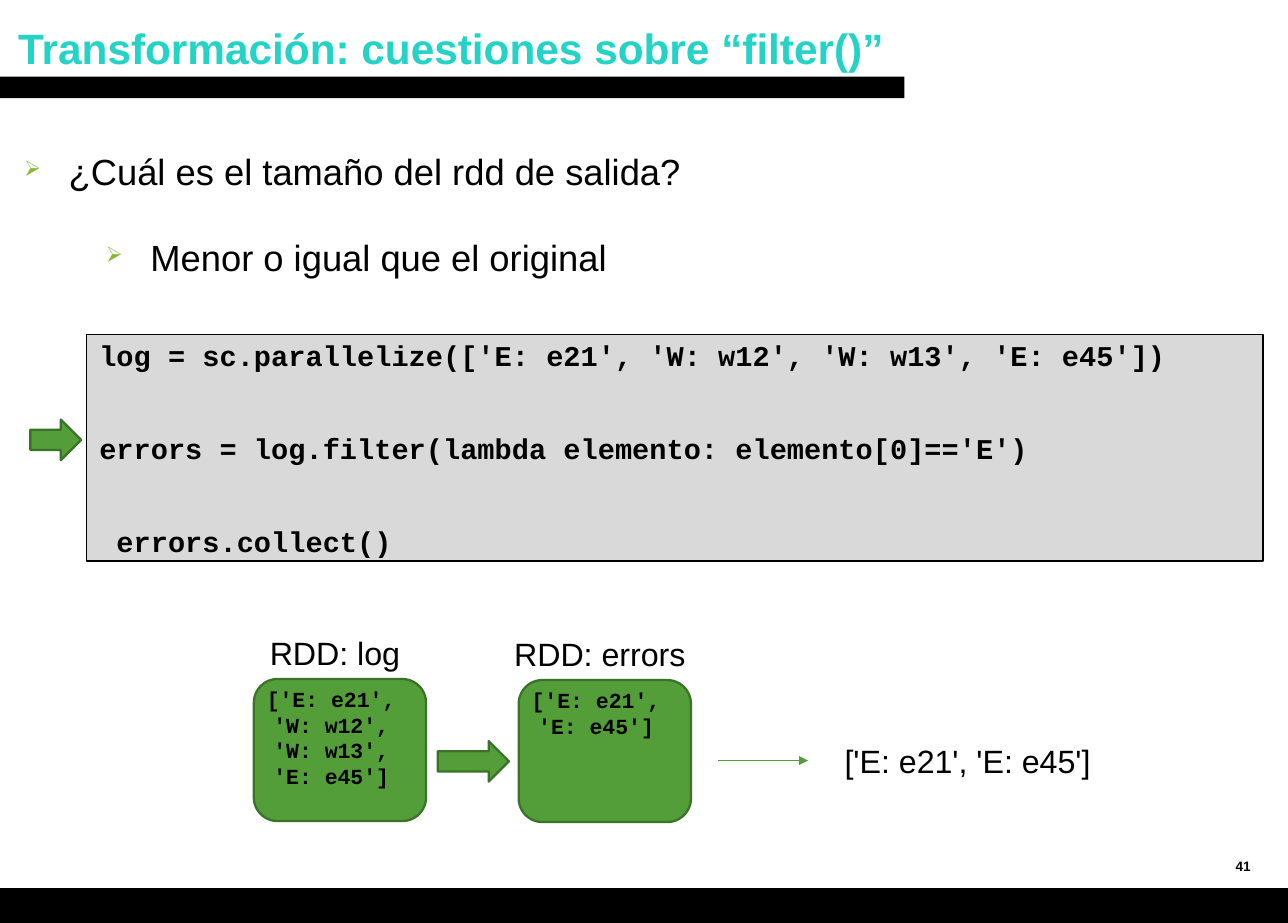
import pptx
import pptx.util
import pptx.dml.color
import pptx.enum.shapes
import pptx.enum.text
import pptx.oxml.ns
from lxml import etree

Pt = pptx.util.Pt
RGBColor = pptx.dml.color.RGBColor
SHAPE = pptx.enum.shapes.MSO_SHAPE
ANCHOR = pptx.enum.text.MSO_ANCHOR
ALIGN = pptx.enum.text.PP_ALIGN
qn = pptx.oxml.ns.qn

BLACK = RGBColor(0x00, 0x00, 0x00)
TURQUOISE = RGBColor(0x22, 0xD3, 0xC6)
GREEN = RGBColor(0x53, 0x9E, 0x39)
DARK_GREEN = RGBColor(0x3A, 0x73, 0x27)
GREY = RGBColor(0xD9, 0xD9, 0xD9)
BULLET_GREEN = "89B833"

TITLE = {"name": "Arial", "size": Pt(28), "bold": True}
BODY = {"name": "Arial", "size": Pt(24)}
LABEL = {"name": "Arial", "size": Pt(21.3)}
NUMBER = {"name": "Arial", "size": Pt(9), "bold": True}
CODE = {"name": "Courier New", "size": Pt(18.9), "bold": True}
DATA = {"name": "Courier New", "size": Pt(14.2), "bold": True}


def set_frame(sp, left=0, top=0, anchor=ANCHOR.TOP):
    tf = sp.text_frame
    values = {"margin_left": Pt(left), "margin_top": Pt(top), "margin_right": 0,
              "margin_bottom": 0, "word_wrap": True, "vertical_anchor": anchor}
    for name, value in values.items():
        setattr(tf, name, value)
    return tf


def add_line(tf, text, style, color=BLACK, align=ALIGN.LEFT, first=True, **spacing):
    p = tf.paragraphs[0] if first else tf.add_paragraph()
    p.alignment = align
    for name, value in spacing.items():
        setattr(p, name, Pt(value))
    r = p.add_run()
    r.text = text
    for name, value in style.items():
        setattr(r.font, name, value)
    r.font.color.rgb = color
    return p


def add_text(s, x, y, w, h, text, style, color=BLACK, align=ALIGN.LEFT, anchor=ANCHOR.TOP):
    sp = s.shapes.add_textbox(Pt(x), Pt(y), Pt(w), Pt(h))
    add_line(set_frame(sp, anchor=anchor), text, style, color, align)


def add_block(s, kind, x, y, w, h, fill, line=None, width=1.5):
    sp = s.shapes.add_shape(kind, Pt(x), Pt(y), Pt(w), Pt(h))
    sp.shadow.inherit = False
    sp.fill.solid()
    sp.fill.fore_color.rgb = fill
    if line is None:
        sp.line.fill.background()
    else:
        sp.line.color.rgb = line
        sp.line.width = Pt(width)
    return sp


def add_title(s, x, y, w, h):
    add_text(s, x + 12, y + 14.4, w, 33, "Transformación: cuestiones sobre “filter()”",
             TITLE, TURQUOISE)
    add_block(s, SHAPE.RECTANGLE, x, y + h - 14.2, 597.6, 14.2, BLACK)


def add_bullets(s, x, y, w, h, items):
    tf = set_frame(s.shapes.add_textbox(Pt(x), Pt(y), Pt(w), Pt(h)))
    for i, (text, margin) in enumerate(items):
        p = add_line(tf, text, BODY, first=i == 0, space_before=28 if i else 0)
        ppr = p._p.get_or_add_pPr()
        ppr.set("marL", str(Pt(margin)))
        ppr.set("indent", str(-Pt(29.5)))
        color = etree.SubElement(ppr, qn("a:buClr"))
        etree.SubElement(color, qn("a:srgbClr")).set("val", BULLET_GREEN)
        etree.SubElement(ppr, qn("a:buSzPct")).set("val", "60000")
        etree.SubElement(ppr, qn("a:buChar")).set("char", "➢")


def add_code(s, x, y, w, h, lines):
    # Code panel with the arrow at the current statement
    sp = add_block(s, SHAPE.RECTANGLE, x, y, w, h, GREY, BLACK, 1)
    tf = set_frame(sp, left=8.6, top=3)
    for i, text in enumerate(lines):
        add_line(tf, text, CODE, first=i == 0, line_spacing=22,
                 space_before=39.4 if i else 0)
    add_block(s, SHAPE.RIGHT_ARROW, x - 36.9, y + 56.2, 33.5, 26.8, GREEN, DARK_GREEN)


def add_rdd(s, x, y, w, h, name, lines):
    # Label above, rounded box with the data below
    add_text(s, x - 3.3, y - 30, w, 25, "RDD: " + name, LABEL, align=ALIGN.CENTER)
    sp = add_block(s, SHAPE.ROUNDED_RECTANGLE, x, y, w, h, GREEN, DARK_GREEN)
    tf = set_frame(sp, left=4, top=0)
    for i, text in enumerate(lines):
        p = add_line(tf, text, DATA, first=i == 0, line_spacing=17)
        p._p.get_or_add_pPr().set("marL", str(Pt(4.3 if i else 0)))


def add_flow(s, x, y, w, h):
    # Two RDDs, the block arrow between them and the collected result
    box_w, step = 113.8, 175
    middle = y + h / 2 + 7.5
    rdds = [("log", ["['E: e21',", "'W: w12',", "'W: w13',", "'E: e45']"]),
            ("errors", ["['E: e21',", "'E: e45']"])]
    for i, (name, lines) in enumerate(rdds):
        add_rdd(s, x + i * step, y + 0.7 * i, box_w, h, name, lines)
    add_block(s, SHAPE.RIGHT_ARROW, x + 121.6, middle - 13.4, 47, 26.8, GREEN, DARK_GREEN)

    start = x + step + box_w + 18
    cx = s.shapes.add_connector(pptx.enum.shapes.MSO_CONNECTOR.STRAIGHT,
                                Pt(start), Pt(middle - 0.5), Pt(start + 59.4), Pt(middle - 0.5))
    cx.line.color.rgb = GREEN
    cx.line.width = Pt(1)
    etree.SubElement(cx.line._get_or_add_ln(), qn("a:tailEnd")).set("type", "triangle")
    etree.SubElement(cx._element.spPr, qn("a:effectLst"))
    result_x = start + 83.5
    add_text(s, result_x, middle - 13, x + w - result_x, 25, "['E: e21', 'E: e45']", LABEL)


def add_footer(s, x, y, w, h):
    add_text(s, x + w - 54.6, y - 28.8, 30, 28.8, "41", NUMBER,
             align=ALIGN.RIGHT, anchor=ANCHOR.MIDDLE)
    add_block(s, SHAPE.RECTANGLE, x, y, w, h, BLACK)


def main():
    prs = pptx.Presentation()
    width, height = 851, 609.8
    prs.slide_width, prs.slide_height = Pt(width), Pt(height)
    s = prs.slides.add_slide(prs.slide_layouts[6])
    add_title(s, 0, 0, 690, 64.8)
    add_bullets(s, 14.4, 98.6, 690, 85, [("¿Cuál es el tamaño del rdd de salida?", 31),
                                         ("Menor o igual que el original", 85)])
    add_code(s, 57, 221, 777.4, 149.8, [
        "log = sc.parallelize(['E: e21', 'W: w12', 'W: w13', 'E: e45'])",
        "errors = log.filter(lambda elemento: elemento[0]=='E')",
        " errors.collect()"])
    add_flow(s, 167.7, 448.6, 560, 93.8)
    add_footer(s, 0, 586.8, width, height - 586.8)
    prs.save("out.pptx")


if __name__ == "__main__":
    main()
